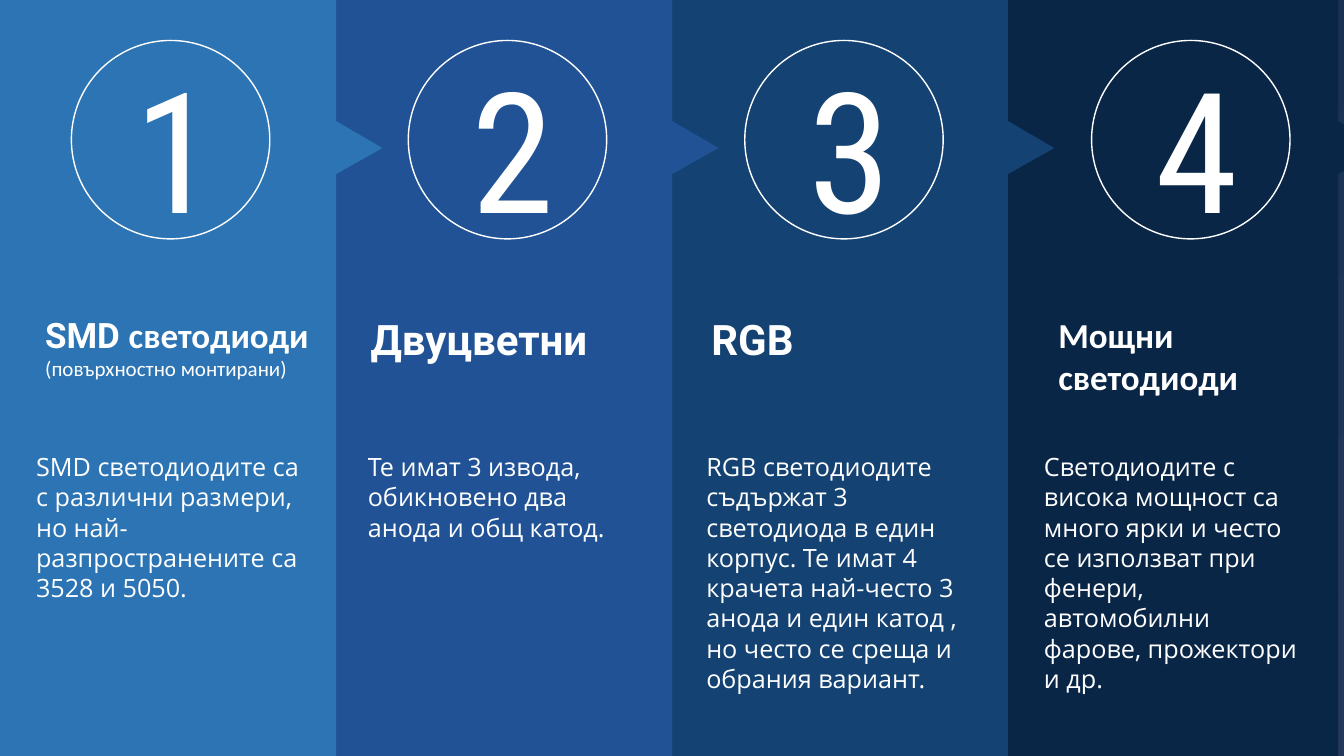
"""Build a slide with four coloured columns about kinds of LEDs."""
from pptx import Presentation
from pptx.dml.color import RGBColor
from pptx.enum.shapes import MSO_SHAPE as Shape
from pptx.enum.text import MSO_AUTO_SIZE as AutoSize
from pptx.util import Cm, Pt

WHITE = "FFFFFF"
BACKGROUND = ["0A2647", "23375A"]
HEAD = {"size": 25, "font": "Calibri", "bold": True}
BIG_HEAD = {"size": 30, "font": "Roboto", "bold": True}
COLUMNS = [
    {"color": "2C74B3", "panel": 0, "circle": 1.8, "title": 0.89, "body": 0.66,
     "heading": [[("SMD ", {**HEAD, "font": "Roboto"}), ("светодиоди", HEAD)],
                 [("(повърхностно монтирани)", {"size": 15, "font": "Calibri"})]],
     "text": "SMD светодиодите са с различни размери, но най-разпространените са 3528 и 5050."},
    {"color": "205295", "panel": 8.47, "circle": 10.29, "title": 9.09, "body": 9.02,
     "heading": [[("Двуцветни", BIG_HEAD)]],
     "text": "Те имат 3 извода, обикновено два анода и общ катод."},
    {"color": "144272", "panel": 16.93, "circle": 18.77, "title": 17.68, "body": 17.55,
     "heading": [[("RGB", BIG_HEAD)]],
     "text": "RGB светодиодите съдържат 3 светодиода в един корпус. Те имат 4 крачета "
             "най-често 3 анода и един катод , но често се среща и обрания вариант."},
    {"color": "0A2647", "panel": 25.25, "circle": 27.51, "title": 26.42, "body": 26.06,
     "heading": [[("Мощни светодиоди", HEAD)]],
     "text": "Светодиодите с висока мощност са много ярки и често се използват при фенери, "
             "автомобилни фарове, прожектори и др."},
]
WIDTH, HEIGHT = 33.87, 19.05
PANEL_WIDTH, TIP = 8.47, 1.17
NOTCH_TOP, NOTCH_MIDDLE, NOTCH_BOTTOM = 3.05, 3.73, 4.39
CIRCLE_TOP, CIRCLE_SIZE = 1.02, 5
DIGIT_SHIFT, DIGIT_WIDTH, DIGIT_HEIGHT = 1.35, 2.31, 5.38
TITLE_TOP, BODY_TOP, TEXT_WIDTH = 7.77, 11.25, 7.18


def rgb(color):
    return RGBColor.from_string(color)


def add_span(para, text, size, font, bold=False, color=WHITE):
    span = para.add_run()
    span.text = text
    span.font.size = Pt(size)
    span.font.name = font
    span.font.bold = bold
    span.font.color.rgb = rgb(color)


def add_text(page, left, top, width, height, paragraphs):
    box = page.shapes.add_textbox(Cm(left), Cm(top), Cm(width), Cm(height))
    frame = box.text_frame
    frame.word_wrap = True
    frame.auto_size = AutoSize.SHAPE_TO_FIT_TEXT
    for index, spans in enumerate(paragraphs):
        para = frame.add_paragraph() if index else frame.paragraphs[0]
        for text, style in spans:
            add_span(para, text, **style)


def add_panel(page, left, color):
    right = left + PANEL_WIDTH
    corners = [(right, 0), (right, NOTCH_TOP), (right + TIP, NOTCH_MIDDLE),
               (right, NOTCH_BOTTOM), (right, HEIGHT), (left, HEIGHT)]
    builder = page.shapes.build_freeform(Cm(left), 0)
    builder.add_line_segments([(Cm(x), Cm(y)) for x, y in corners])
    panel = builder.convert_to_shape()
    panel.shadow.inherit = False
    panel.fill.solid()
    panel.fill.fore_color.rgb = rgb(color)
    panel.line.fill.background()


def add_circle(page, left):
    circle = page.shapes.add_shape(Shape.OVAL, Cm(left), Cm(CIRCLE_TOP), Cm(CIRCLE_SIZE), Cm(CIRCLE_SIZE))
    circle.shadow.inherit = False
    circle.fill.background()
    circle.line.color.rgb = rgb(WHITE)
    circle.line.width = Pt(1)


def add_column(page, number, column):
    add_panel(page, column["panel"], column["color"])
    add_circle(page, column["circle"])
    add_text(page, column["circle"] + DIGIT_SHIFT, CIRCLE_TOP, DIGIT_WIDTH, DIGIT_HEIGHT,
             [[(str(number), {"size": 120, "font": "Roboto Condensed"})]])
    add_text(page, column["title"], TITLE_TOP, TEXT_WIDTH, 1.55, column["heading"])
    add_text(page, column["body"], BODY_TOP, TEXT_WIDTH, 6.4,
             [[(column["text"], {"size": 18, "font": "Open Sans"})]])


def main():
    deck = Presentation()
    deck.slide_width, deck.slide_height = Cm(WIDTH), Cm(HEIGHT)
    page = deck.slides.add_slide(deck.slide_layouts[6])
    fill = page.background.fill
    fill.gradient()
    fill.gradient_angle = 315
    for stop, color in zip(fill.gradient_stops, BACKGROUND):
        stop.color.rgb = rgb(color)
    for number, column in reversed(list(enumerate(COLUMNS, 1))):
        add_column(page, number, column)
    deck.save("out.pptx")


if __name__ == "__main__":
    main()
